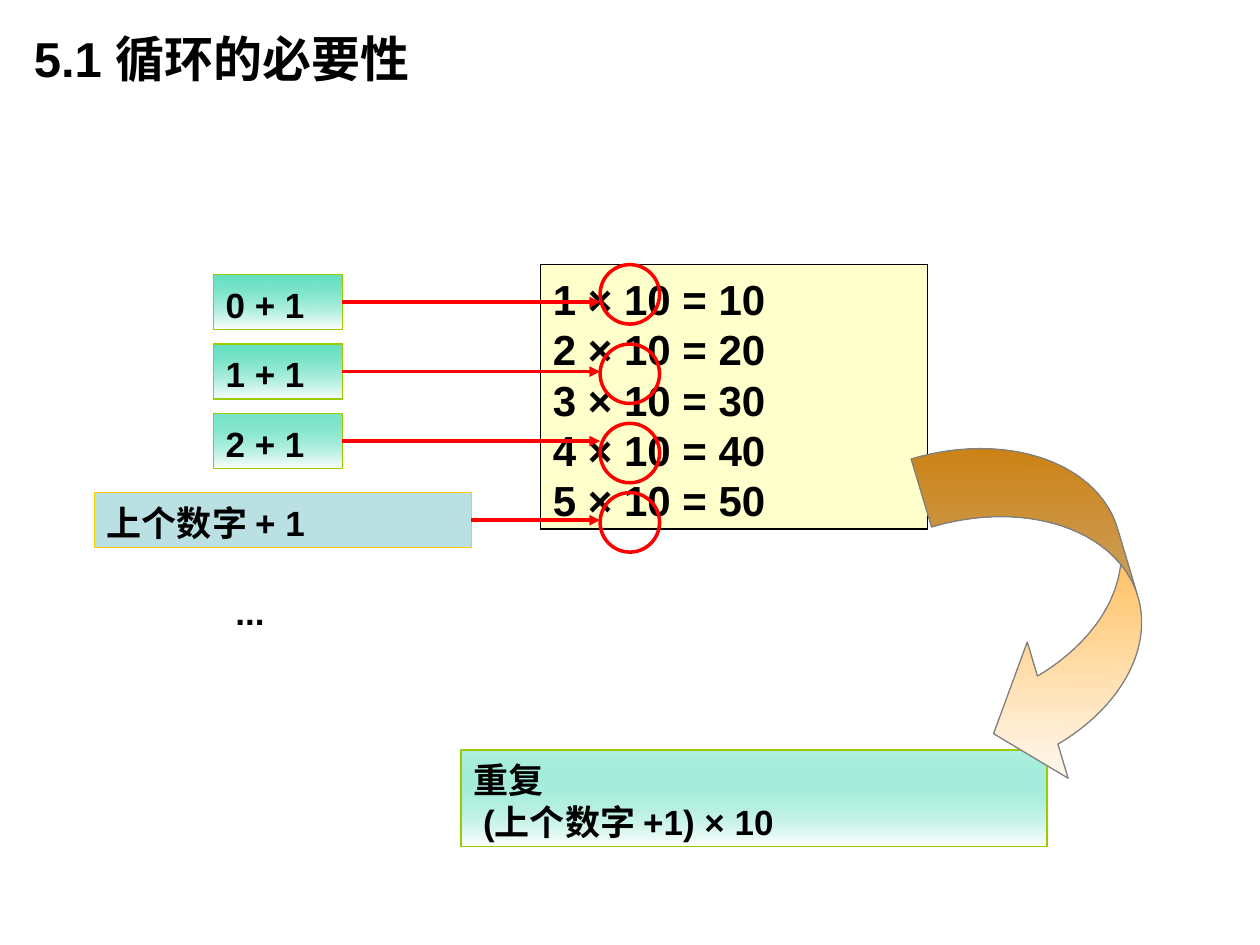
from dataclasses import dataclass
from typing import Optional

from lxml import etree
from pptx import Presentation
from pptx.dml.color import RGBColor
from pptx.enum.shapes import MSO_CONNECTOR, MSO_SHAPE
from pptx.enum.text import MSO_ANCHOR, MSO_AUTO_SIZE, PP_ALIGN
from pptx.oxml.ns import qn
from pptx.util import Pt

RECT, OVAL = MSO_SHAPE.RECTANGLE, MSO_SHAPE.OVAL
CURVED_ARROW = MSO_SHAPE.CURVED_LEFT_ARROW
STRAIGHT = MSO_CONNECTOR.STRAIGHT
LEFT, TOP, MIDDLE = PP_ALIGN.LEFT, MSO_ANCHOR.TOP, MSO_ANCHOR.MIDDLE
NO_FIT = MSO_AUTO_SIZE.NONE
RIGHT_SIDE = 3
BLACK, RED, GREEN, TEAL, WHITE = "000000", "FF0000", "99CC00", "00CC99", "FFFFFF"


@dataclass
class Box:
    lines: list[str]
    x: float
    y: float
    w: float
    h: float
    line: str
    fill: str
    opacity: Optional[int] = None  # percent; set for a fade to white
    size: float = 20


def rgb(value: str) -> RGBColor:
    return RGBColor.from_string(value)


def set_text(tf, lines: list[str], size: float) -> None:
    tf.word_wrap = True
    tf.vertical_anchor = TOP
    tf.margin_top = Pt(5)
    for i, text in enumerate(lines):
        p = tf.paragraphs[0] if i == 0 else tf.add_paragraph()
        p.text = text
        p.alignment = LEFT
        p.line_spacing = Pt(1.2 * size)
        set_font(p.font, size)


def set_font(font, size: float) -> None:
    font.name, font.size, font.bold = "Arial", Pt(size), True
    font.color.rgb = rgb(BLACK)


def fade_to_white(sp, color: str, angle: float, opacity: int = 100) -> None:
    sp.fill.gradient()
    sp.fill.gradient_angle = angle
    first, last = sp.fill.gradient_stops
    first.color.rgb, last.color.rgb = rgb(color), rgb(WHITE)
    first.position, last.position = 0, 1
    if opacity < 100:
        srgb = sp.fill._fill._gradFill.find(".//" + qn("a:srgbClr"))
        etree.SubElement(srgb, qn("a:alpha"), val=str(opacity * 1000))


def add_outlined(s, kind, x: float, y: float, w: float, h: float,
                 line: str, width: float):
    sp = s.shapes.add_shape(kind, Pt(x), Pt(y), Pt(w), Pt(h))
    sp.shadow.inherit = False
    sp.line.color.rgb = rgb(line)
    sp.line.width = Pt(width)
    return sp


def add_box(s, box: Box):
    sp = add_outlined(s, RECT, box.x, box.y, box.w, box.h, box.line, 0.75)
    if box.opacity is None:
        sp.fill.solid()
        sp.fill.fore_color.rgb = rgb(box.fill)
    else:
        fade_to_white(sp, box.fill, 270, box.opacity)
    set_text(sp.text_frame, box.lines, box.size)
    return sp


def add_circle(s, x: float, y: float, d: float) -> None:
    sp = add_outlined(s, OVAL, x, y, d, d, RED, 2)
    sp.fill.background()


def add_arrow(s, source, x_end: float) -> None:
    y = source.top + source.height // 2
    c = s.shapes.add_connector(STRAIGHT, source.left + source.width, y, Pt(x_end), y)
    c.begin_connect(source, RIGHT_SIDE)
    c.line.color.rgb = rgb(RED)
    c.line.width = Pt(2)
    etree.SubElement(c.line._get_or_add_ln(), qn("a:tailEnd"), type="triangle")
    etree.SubElement(c._element.spPr, qn("a:effectLst"))


def main() -> None:
    prs = Presentation()
    prs.slide_width, prs.slide_height = Pt(720), Pt(540)
    s = prs.slides.add_slide(prs.slide_layouts[5])

    # Title
    title = s.shapes.title
    title.left, title.top, title.width, title.height = Pt(12.2), Pt(0), Pt(540), Pt(66.2)
    tf = title.text_frame
    tf.text = "5.1 循环的必要性"
    tf.auto_size, tf.vertical_anchor = NO_FIT, MIDDLE
    tf.paragraphs[0].alignment = LEFT
    set_font(tf.paragraphs[0].font, 28)

    # Multiplication panel
    products = [f"{n} × 10 = {n * 10}" for n in range(1, 6)]
    add_box(s, Box(products, 308.9, 151.2, 221.1, 151.2, BLACK, "FFFFCC", size=24))

    # Sums on the left, each pointing at the panel
    sums = [Box([f"{i} + 1"], 121.9, 156.9 + 39.7 * i, 73.7, 31.5, GREEN, TEAL, opacity)
            for i, opacity in enumerate((60, 60, 52))]
    sums.append(Box(["上个数字 + 1"], 54, 281.5, 215.4, 31.5, "FFCC00", "BBE0E3"))
    circle_x = 342.9
    for box in sums:
        add_arrow(s, add_box(s, box), circle_x)

    # Circled factors
    for y in (151.2, 196.6, 241.9, 281.5):
        add_circle(s, circle_x, y, 34)

    # Continuation dots
    dots = s.shapes.add_textbox(Pt(127.5), Pt(332.6), Pt(73.7), Pt(31.5))
    set_text(dots.text_frame, ["..."], 20)

    # Rule for repetition and the arrow leading to it
    add_box(s, Box(["重复", " (上个数字 +1) × 10"], 263.5, 428.6, 334.8, 55.3,
                   GREEN, TEAL, 30))
    sp = add_outlined(s, CURVED_ARROW, 547.9, 243.4, 101.5, 204.5, "808080", 0.75)
    sp.rotation = 343.3
    for i, value in enumerate((0.4, 0.8, 0.33)):
        sp.adjustments[i] = value
    fade_to_white(sp, "FF9900", 253)

    prs.save("out.pptx")


if __name__ == "__main__":
    main()
